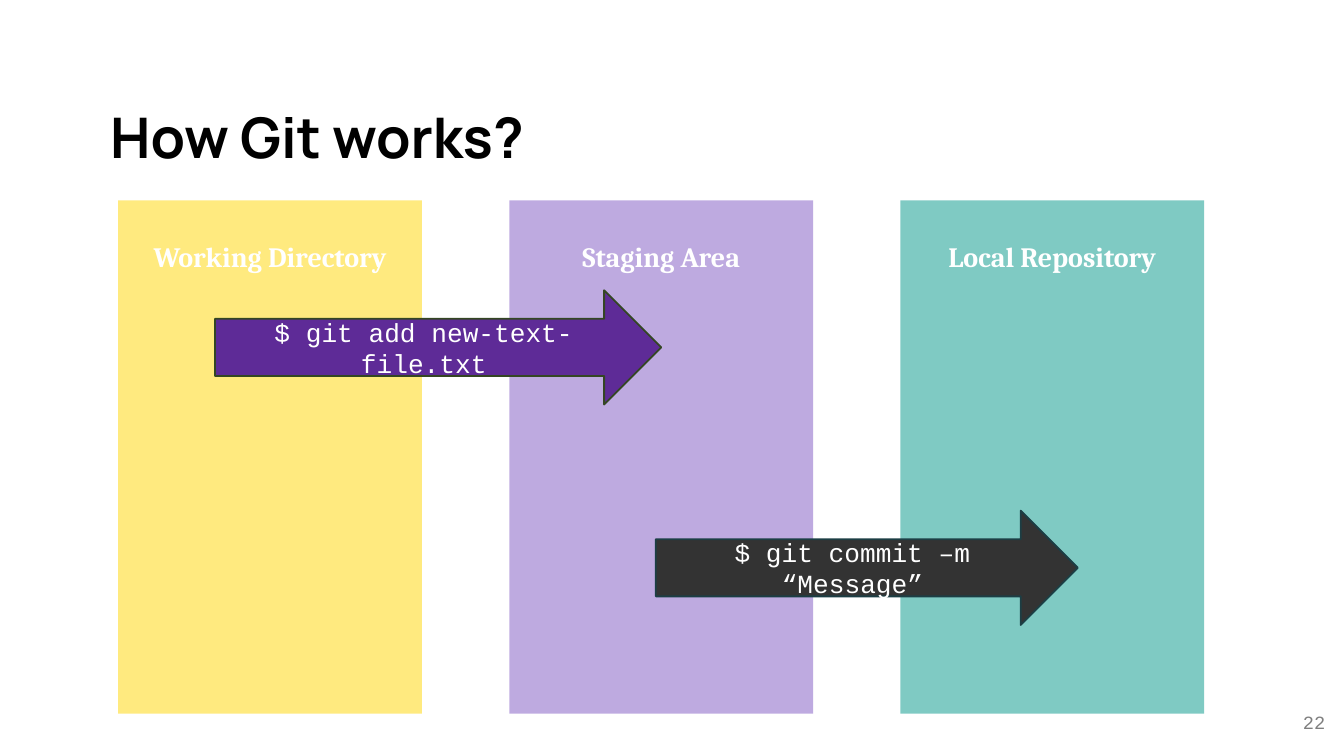
from typing import NamedTuple

from lxml.etree import SubElement
from pptx import Presentation
from pptx.dml.color import RGBColor
from pptx.enum.shapes import MSO_SHAPE as Shape
from pptx.enum.text import MSO_ANCHOR as Anchor, MSO_AUTO_SIZE as AutoSize, PP_ALIGN as Align
from pptx.oxml.ns import qn
from pptx.util import Inches, Pt

BLACK = RGBColor(0x00, 0x00, 0x00)
WHITE = RGBColor(0xFF, 0xFF, 0xFF)
GREY = RGBColor(0x7F, 0x7F, 0x7F)
CHARCOAL = RGBColor(0x33, 0x33, 0x33)
DARK_TEAL = RGBColor(0x1C, 0x3E, 0x44)
PURPLE = RGBColor(0x5E, 0x2B, 0x97)
DARK_GREEN = RGBColor(0x34, 0x46, 0x23)
YELLOW = RGBColor(0xFF, 0xD6, 0x00)
VIOLET = RGBColor(0x7E, 0x57, 0xC2)
TEAL = RGBColor(0x00, 0x96, 0x88)

SLIDE_WIDTH = 10
SLIDE_HEIGHT = SLIDE_WIDTH * 9 / 16
AREA_LEFT, AREA_TOP = 0.88, 1.49
AREA_WIDTH, AREA_HEIGHT = 2.26, 3.82
AREA_PITCH = 2.91
ARROW_HEIGHT = 0.85


class Area(NamedTuple):
    name: str
    color: RGBColor


class Command(NamedTuple):
    text: str
    left: float  # percent of the slide's width
    width: float  # percent of the slide's width
    top: float
    fill: RGBColor
    line: RGBColor


AREAS = [
    Area("Working Directory", YELLOW),
    Area("Staging Area", VIOLET),
    Area("Local Repository", TEAL),
]
COMMANDS = [
    Command("$ git commit –m “Message”", 48.8, 31.4, 3.8, CHARCOAL, DARK_TEAL),
    Command("$ git add new-text-file.txt", 16, 33.2, 2.16, PURPLE, DARK_GREEN),
]


def write(shape, text: str, font_name: str, size: float, color: RGBColor, *,
          bold: bool = False, align=Align.CENTER, anchor=Anchor.TOP,
          spacing: float = 1.0, insets: tuple[float, float] = (0.07, 0.04)) -> None:
    frame = shape.text_frame
    frame.text = text
    frame.word_wrap = True
    frame.auto_size = AutoSize.NONE
    frame.vertical_anchor = anchor
    frame.margin_left = frame.margin_right = Inches(insets[0])
    frame.margin_top = frame.margin_bottom = Inches(insets[1])
    para = frame.paragraphs[0]
    para.alignment = align
    para.line_spacing = spacing
    para.space_before = Pt(0)
    font = para.font
    font.name, font.size, font.bold = font_name, Pt(size), bold
    font.color.rgb = color


def add_filled(page, kind, left: float, top: float, width: float, height: float,
               color: RGBColor):
    shape = page.shapes.add_shape(
        kind, Inches(left), Inches(top), Inches(width), Inches(height))
    shape.shadow.inherit = False
    shape.fill.solid()
    shape.fill.fore_color.rgb = color
    return shape


def set_opacity(shape, percent: int) -> None:
    color = shape.element.spPr.find(qn("a:solidFill"))[0]
    SubElement(color, qn("a:alpha"), val=str(percent * 1000))


def draw_area(page, column: int, area: Area) -> None:
    box = add_filled(page, Shape.RECTANGLE, AREA_LEFT + column * AREA_PITCH, AREA_TOP,
                     AREA_WIDTH, AREA_HEIGHT, area.color)
    set_opacity(box, 50)
    box.line.fill.background()
    write(box, area.name, "Cambria", 15, WHITE, bold=True, spacing=2.0)


def draw_command(page, command: Command) -> None:
    percent = SLIDE_WIDTH / 100
    arrow = add_filled(page, Shape.RIGHT_ARROW, command.left * percent, command.top,
                       command.width * percent, ARROW_HEIGHT, command.fill)
    arrow.line.color.rgb = command.line
    arrow.line.width = Pt(1)
    write(arrow, command.text, "Courier New", 14, WHITE, anchor=Anchor.MIDDLE)


def main() -> None:
    deck = Presentation()
    deck.slide_width, deck.slide_height = Inches(SLIDE_WIDTH), Inches(SLIDE_HEIGHT)
    page = deck.slides.add_slide(deck.slide_layouts.get_by_name("Title Only"))

    title = page.shapes.title
    title.left, title.top = Inches(0.75), Inches(0.78)
    title.width, title.height = Inches(8.25), Inches(0.6)
    write(title, "How Git works?", "Manrope", 30, BLACK, bold=True,
          align=Align.LEFT, spacing=0.9)

    for column, area in enumerate(AREAS):
        draw_area(page, column, area)
    for command in COMMANDS:
        draw_command(page, command)

    number = page.shapes.add_textbox(Inches(9.36), Inches(5.19), Inches(0.6), Inches(0.43))
    write(number, "22", "Courier New", 10, GREY, align=Align.RIGHT, insets=(0.1, 0.1))

    deck.save("out.pptx")


if __name__ == "__main__":
    main()
